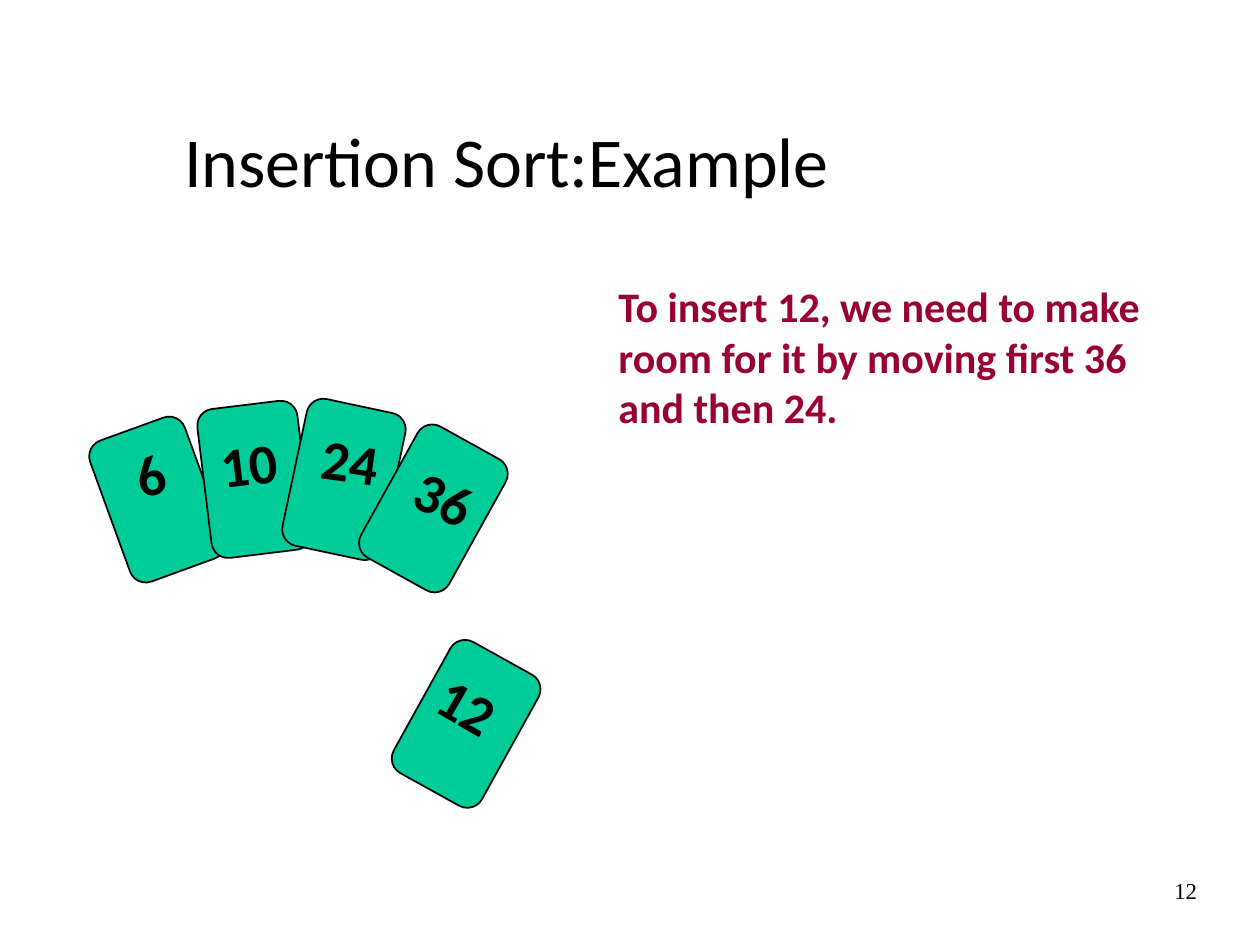
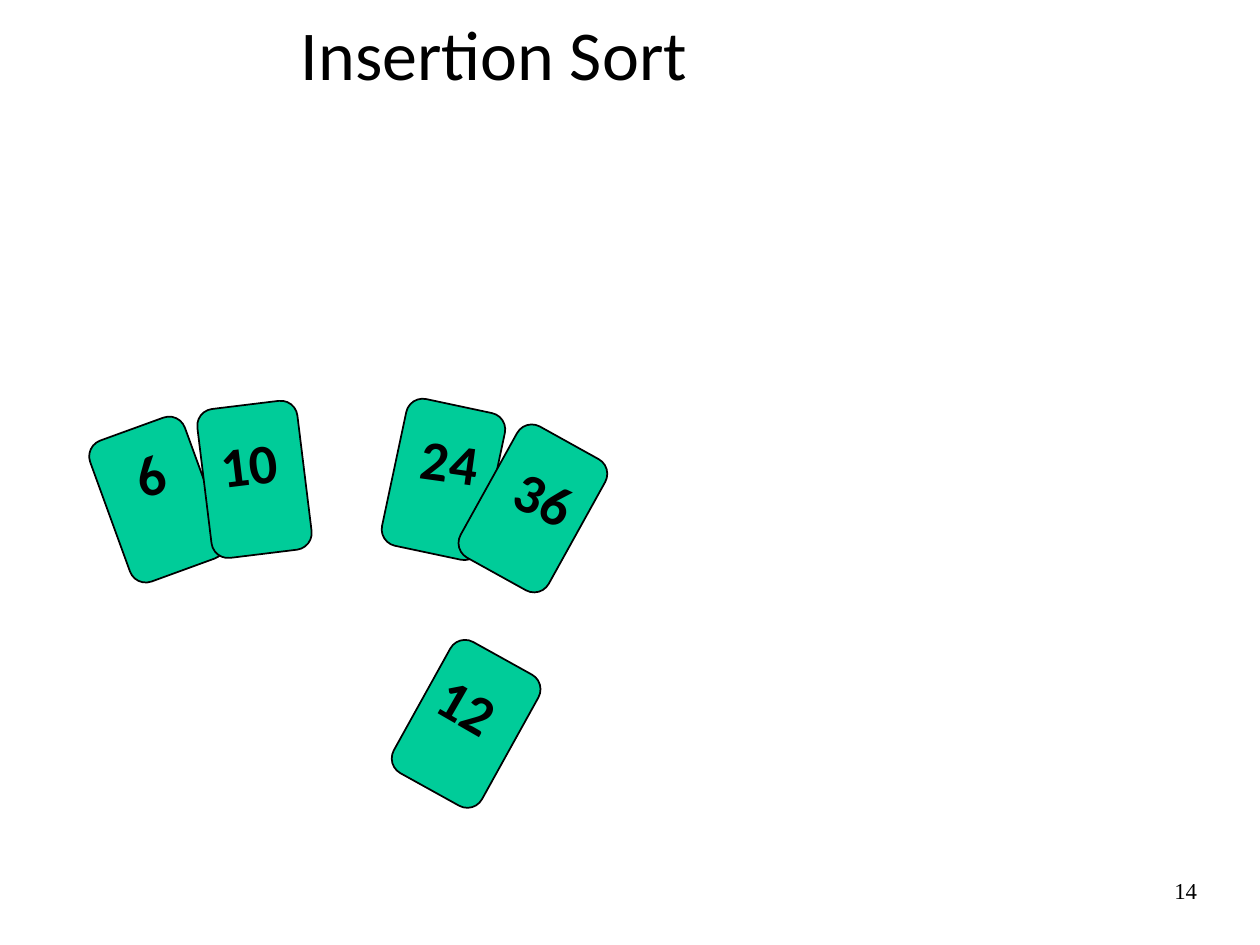
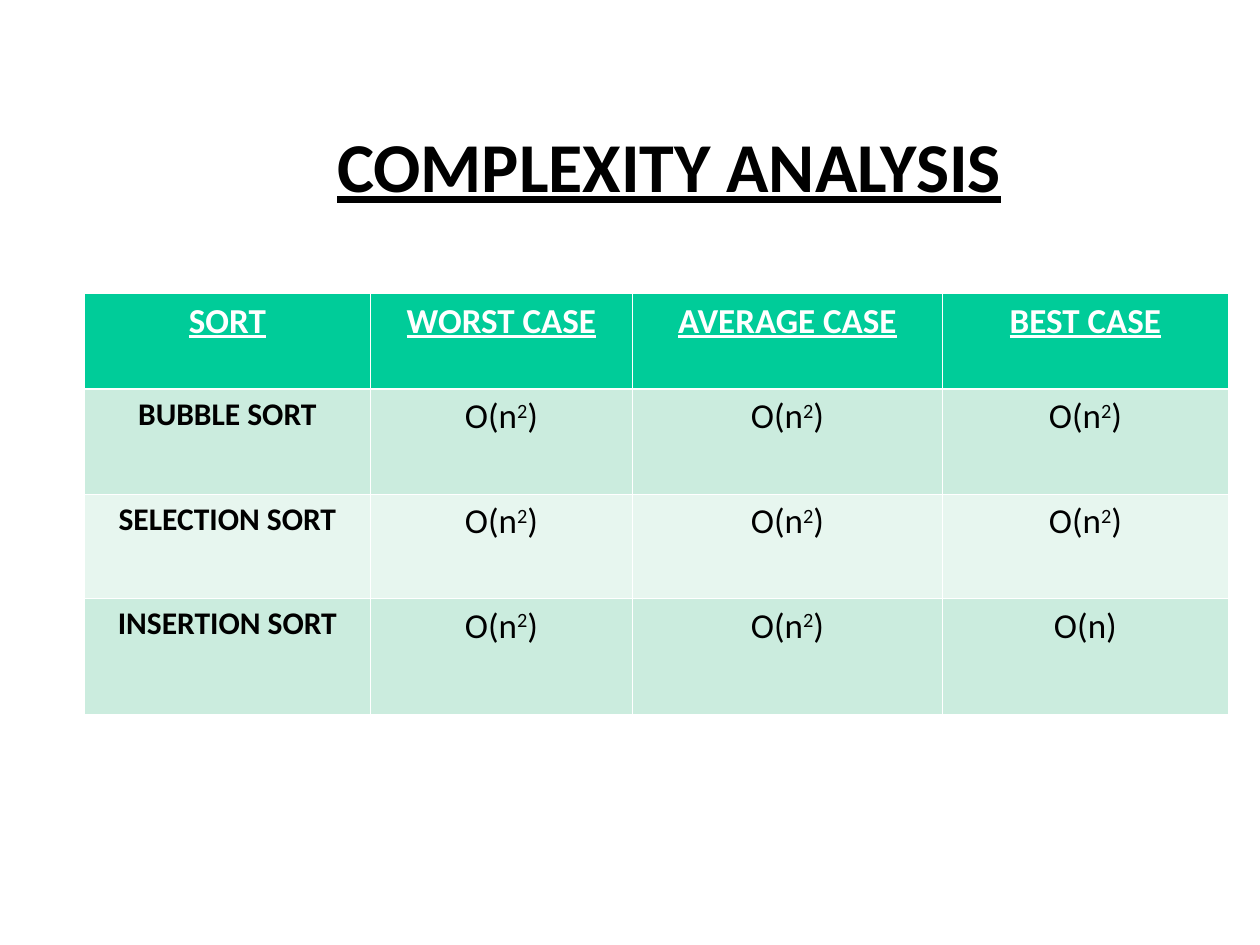
from pptx import Presentation
from pptx.dml.color import RGBColor
from pptx.enum import shapes, text
from pptx.oxml import parse_xml
from pptx.oxml.ns import nsdecls
from pptx.util import Inches, Pt

BLACK = RGBColor(0x00, 0x00, 0x00)
WHITE = RGBColor(0xFF, 0xFF, 0xFF)
GREEN = RGBColor(0x00, 0xCC, 0x99)
MAROON = RGBColor(0x99, 0x00, 0x33)
BAND_DARK = RGBColor(0xCB, 0xEC, 0xDE)
BAND_LIGHT = RGBColor(0xE7, 0xF6, 0xEF)
CENTER = text.PP_ALIGN.CENTER
RIGHT = text.PP_ALIGN.RIGHT
TITLE_ONLY = 5


def write(tf, words, size=20, color=BLACK, font="Calibri", bold=False,
          underline=False, align=text.PP_ALIGN.LEFT, spacing=1.0):
    p = tf.paragraphs[0]
    p.alignment = align
    p.line_spacing = spacing
    head, square, tail = words.partition("²")
    for part, raised in ((head, False), ("2" if square else "", True), (tail, False)):
        if not part:
            continue
        r = p.add_run()
        r.text = part
        r.font.size = Pt(size)
        r.font.name = font
        r.font.bold = bold
        r.font.underline = underline
        r.font.color.rgb = color
        if raised:
            r.font._element.set("baseline", "30000")


def place(sp, left, top, width, height, rotation=0):
    sp.left, sp.top = Inches(left), Inches(top)
    sp.width, sp.height = Inches(width), Inches(height)
    sp.rotation = rotation
    return sp


CARD_W, CARD_H = 0.8, 1.19
CARDS = {
    "6": (0.85, 3.37, 340, 0.13, 0.07, 341, 0.43),
    "10": (1.62, 3.21, 353, 0.03, 0.15, 353, 0.65),
    "24": (2.33, 3.21, 12, 0.13, 0.13, 8, 0.65),
    "36": (3.04, 3.44, 29, 0.17, 0.19, 25, 0.65),
    "12": (3.3, 5.15, 29, 0.09, 0.13, 30, 0.65),
}
MOVED = 0.79

CARD_SLIDES = [
    ("Insertion Sort:Example", (0.56, 0.68, 6.92, 0.99), "12", (),
     "To insert 12, we need to make room for it by moving first 36 and then 24."),
    ("Insertion Sort", (0.37, 0.25, 7.1, 0.57), "14", ("24", "36"), ""),
]

prs = Presentation()
prs.slide_width, prs.slide_height = Inches(10), Inches(7.5)
layout = prs.slide_layouts[TITLE_ONLY]

for title, title_box, number, moved_cards, note in CARD_SLIDES:
    s = prs.slides.add_slide(layout)
    tf = place(s.shapes.title, *title_box).text_frame
    tf.vertical_anchor = text.MSO_ANCHOR.BOTTOM
    tf.auto_size = text.MSO_AUTO_SIZE.NONE
    write(tf, title, size=40, align=CENTER, spacing=0.97)

    tf = s.shapes.add_textbox(Inches(7.17), Inches(7), Inches(2.33), Inches(0.35)).text_frame
    tf.word_wrap = True
    tf.margin_left = tf.margin_right = tf.margin_top = tf.margin_bottom = 0
    write(tf, number, size=13, font="Times New Roman", align=RIGHT, spacing=0.78)

    if note:
        tf = s.shapes.add_textbox(Inches(4.81), Inches(2.18), Inches(4.66), Inches(1.3)).text_frame
        tf.word_wrap = True
        write(tf, note, size=24, color=MAROON, bold=True)

    for value, (left, top, turn, dx, dy, label_turn, label_w) in CARDS.items():
        if value in moved_cards:
            left += MOVED
        card = s.shapes.add_shape(shapes.MSO_SHAPE.ROUNDED_RECTANGLE, 0, 0, 0, 0)
        place(card, left, top, CARD_W, CARD_H, turn)
        card.shadow.inherit = False
        card.fill.solid()
        card.fill.fore_color.rgb = GREEN
        card.line.color.rgb = BLACK
        card.line.width = Pt(1)

        label = s.shapes.add_textbox(0, 0, 0, 0)
        place(label, left + dx, top + dy, label_w, 0.63, label_turn)
        tf = label.text_frame
        tf.word_wrap = False
        tf.auto_size = text.MSO_AUTO_SIZE.SHAPE_TO_FIT_TEXT
        write(tf, value, size=32, bold=True)

s = prs.slides.add_slide(layout)
tf = place(s.shapes.title, 0.92, 1, 8.78, 0.67).text_frame
tf.vertical_anchor = text.MSO_ANCHOR.MIDDLE
tf.auto_size = text.MSO_AUTO_SIZE.NONE
write(tf, "COMPLEXITY ANALYSIS", size=40, bold=True, underline=True, align=CENTER, spacing=0.97)

ROWS = [
    ("SORT", "WORST CASE", "AVERAGE CASE", "BEST CASE"),
    ("BUBBLE SORT", "O(n²)", "O(n²)", "O(n²)"),
    ("SELECTION SORT", "O(n²)", "O(n²)", "O(n²)"),
    ("INSERTION SORT", "O(n²)", "O(n²)", "O(n)"),
]
COL_WIDTHS = [2.27, 2.08, 2.46, 2.27]
ROW_HEIGHTS = [0.76, 0.83, 0.83, 0.92]
THIN, THICK = Pt(0.45), Pt(1.47)

table = s.shapes.add_table(len(ROWS), len(COL_WIDTHS), Inches(0.67), Inches(2.33),
                           Inches(sum(COL_WIDTHS)), Inches(sum(ROW_HEIGHTS))).table
for column, width in zip(table.columns, COL_WIDTHS):
    column.width = Inches(width)
for i, (words_row, height) in enumerate(zip(ROWS, ROW_HEIGHTS)):
    table.rows[i].height = Inches(height)
    header = i == 0
    for j, words in enumerate(words_row):
        cell = table.cell(i, j)
        cell.margin_left = cell.margin_right = Inches(0.1)
        write(cell.text_frame, words, size=18 if j == 0 and not header else 20,
              color=WHITE if header else BLACK, bold=header or j == 0,
              underline=header, align=CENTER)
        borders = {"lnL": THIN, "lnR": THIN,
                   "lnT": THICK if i == 1 else THIN,
                   "lnB": THICK if header else THIN}
        for side, width in borders.items():
            cell._tc.get_or_add_tcPr().append(parse_xml(
                f'<a:{side} {nsdecls("a")} w="{width}"><a:solidFill>'
                f'<a:srgbClr val="{WHITE}"/></a:solidFill></a:{side}>'))
        cell.fill.solid()
        cell.fill.fore_color.rgb = GREEN if header else BAND_DARK if i % 2 else BAND_LIGHT

prs.save("out.pptx")
